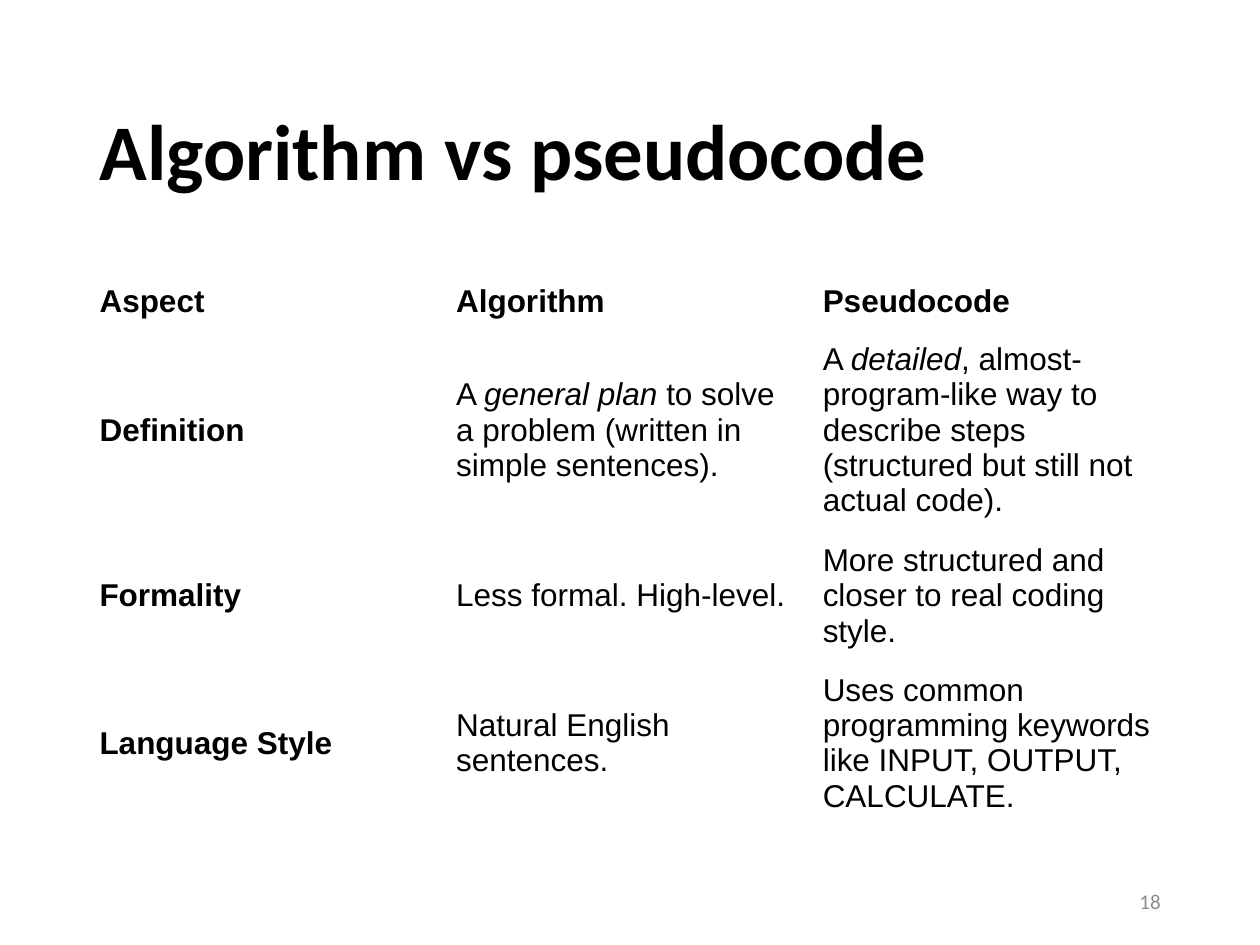
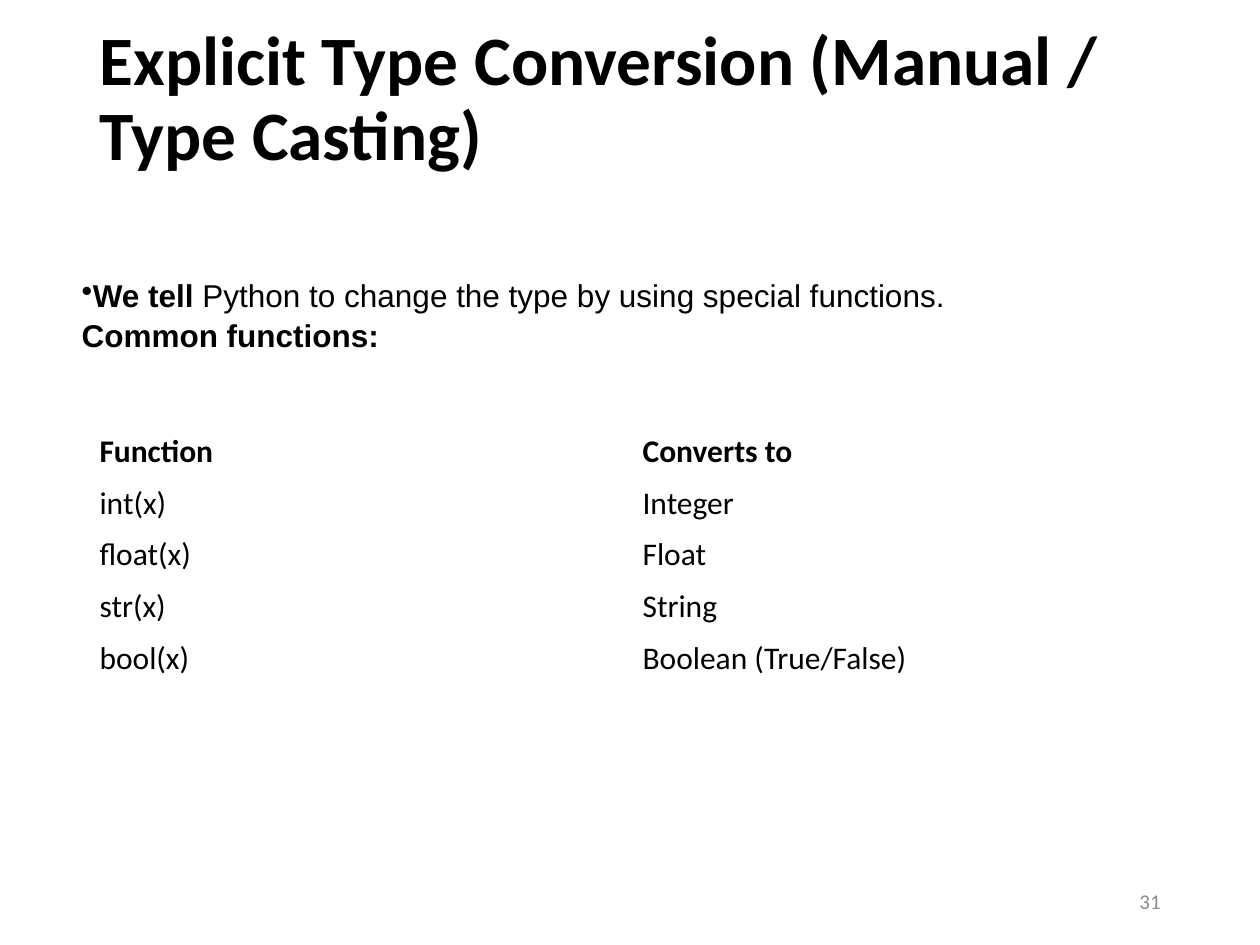
from lxml import etree
from pptx import Presentation
from pptx.dml.color import RGBColor
from pptx.enum.text import MSO_ANCHOR, MSO_AUTO_SIZE, PP_ALIGN
from pptx.oxml.ns import qn
from pptx.util import Inches, Pt

MIDDLE = MSO_ANCHOR.MIDDLE
NO_FIT = MSO_AUTO_SIZE.NONE
LEFT, RIGHT = PP_ALIGN.LEFT, PP_ALIGN.RIGHT

WIDTH, HEIGHT = 10, 7.5
MARGIN = 0.69
CONTENT_W = WIDTH - 2 * MARGIN
TITLE_BOTTOM = 1.85
TITLE_ONLY = 5

BLACK, GRAY = "000000", "8C8C8C"
HEAD_FONT, BODY_FONT = "Calibri", "Arial"
BODY_SIZE = 18

COMPARISON = [
    ["Aspect", "Algorithm", "Pseudocode"],
    ["Definition",
     "A *general plan* to solve a problem (written in simple sentences).",
     "A *detailed*, almost-program-like way to describe steps "
     "(structured but still not actual code)."],
    ["Formality", "Less formal. High-level.",
     "More structured and closer to real coding style."],
    ["Language Style", "Natural English sentences.",
     "Uses common programming keywords like INPUT, OUTPUT, CALCULATE."],
]
CASTS = [
    ["Function", "Converts to"],
    ["int(x)", "Integer"],
    ["float(x)", "Float"],
    ["str(x)", "String"],
    ["bool(x)", "Boolean (True/False)"],
]
INTRO = ["*We tell* Python to change the type by using special functions.",
         "*Common functions:*"]


def color(value):
    return RGBColor.from_string(value)


def write(p, text, font, size, fill=BLACK, bold=False, mark="italic"):
    """Fill a paragraph; parts between asterisks get the style named by mark."""
    for i, part in enumerate(text.split("*")):
        if not part:
            continue
        r = p.add_run()
        r.text = part
        f = r.font
        f.name, f.size = font, Pt(size)
        f.color.rgb = color(fill)
        marked = i % 2 == 1
        f.bold = bold or (marked and mark == "bold")
        f.italic = marked and mark == "italic"


def add_title(s, text, top, size, bottom_inset=0.05):
    title = s.shapes.title
    title.left, title.top = Inches(MARGIN), Inches(top)
    title.width, title.height = Inches(CONTENT_W), Inches(TITLE_BOTTOM - top)
    tf = title.text_frame
    tf.auto_size, tf.vertical_anchor = NO_FIT, MIDDLE
    tf.margin_bottom = Inches(bottom_inset)
    p = tf.paragraphs[0]
    p.alignment, p.line_spacing = LEFT, 0.9
    write(p, text, HEAD_FONT, size, bold=True)


def add_text_box(s, left, top, width, height):
    box = s.shapes.add_textbox(*map(Inches, (left, top, width, height)))
    tf = box.text_frame
    tf.word_wrap, tf.vertical_anchor = True, MIDDLE
    return tf


def add_page_number(s, number):
    width = 2.25
    tf = add_text_box(s, WIDTH - MARGIN - width, 6.95, width, 0.4)
    p = tf.paragraphs[0]
    p.alignment = RIGHT
    write(p, str(number), HEAD_FONT, 12, GRAY)


def add_plain_table(s, rows, top, col_widths, row_heights, font, bold_first_col=False):
    """Table without fills or banding; its first row is bold."""
    frame = s.shapes.add_table(
        len(rows), len(col_widths), Inches(MARGIN), Inches(top),
        Inches(sum(col_widths)), Inches(sum(row_heights)))
    table = frame.table
    table.first_row = table.horz_banding = False
    for column, width in zip(table.columns, col_widths):
        column.width = Inches(width)
    for row, height in zip(table.rows, row_heights):
        row.height = Inches(height)
    for i, texts in enumerate(rows):
        for j, text in enumerate(texts):
            cell = table.cell(i, j)
            cell.fill.background()
            cell.vertical_anchor = MIDDLE
            bold = i == 0 or (bold_first_col and j == 0)
            write(cell.text_frame.paragraphs[0], text, font, BODY_SIZE, bold=bold)


def add_intro(s, lines, left, top, width, height):
    tf = add_text_box(s, left, top, width, height)
    for i, line in enumerate(lines):
        p = tf.add_paragraph() if i else tf.paragraphs[0]
        write(p, line, BODY_FONT, BODY_SIZE, mark="bold")
    first = tf.paragraphs[0]
    first.space_after = Pt(1)
    etree.SubElement(first._p.get_or_add_pPr(), qn("a:buChar")).set("char", "•")


def build_comparison(prs):
    s = prs.slides.add_slide(prs.slide_layouts[TITLE_ONLY])
    add_title(s, "Algorithm vs pseudocode", 0.61, 45)
    add_plain_table(s, COMPARISON, 2.18, [2.83, 2.91, 2.89],
                    [0.43, 1.61, 1.02, 1.32], BODY_FONT, bold_first_col=True)
    add_page_number(s, 18)


def build_type_casting(prs):
    s = prs.slides.add_slide(prs.slide_layouts[TITLE_ONLY])
    add_title(s, "Explicit Type Conversion (Manual / Type Casting)", 0.4, 39.6,
              bottom_inset=0.7)
    add_intro(s, INTRO, 0.55, 2.15, WIDTH - 2 * 0.55, 0.7)
    add_plain_table(s, CASTS, 3.38, [CONTENT_W / 2] * 2,
                    [0.41] * len(CASTS), HEAD_FONT)
    add_page_number(s, 31)


def main():
    prs = Presentation()
    prs.slide_width, prs.slide_height = Inches(WIDTH), Inches(HEIGHT)
    build_comparison(prs)
    build_type_casting(prs)
    prs.save("out.pptx")


if __name__ == "__main__":
    main()
